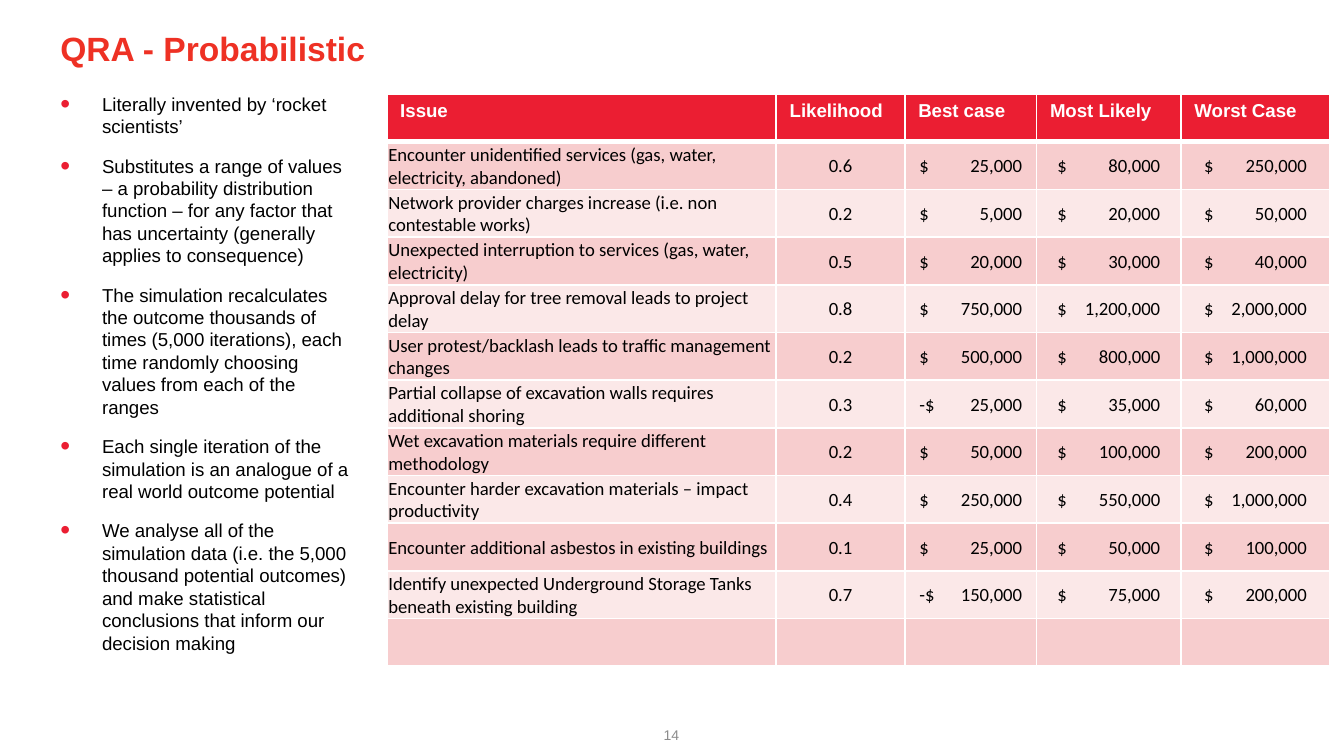
from dataclasses import dataclass

from lxml.etree import SubElement
from pptx import Presentation
from pptx.dml.color import RGBColor
from pptx.enum.text import MSO_ANCHOR, PP_ALIGN
from pptx.oxml.ns import qn
from pptx.util import Cm, Pt


@dataclass(frozen=True)
class Theme:
    heading: str = "EE3124"
    accent: str = "EB1E32"
    band_dark: str = "F7CDCE"
    band_light: str = "FBE8E8"
    ink: str = "000000"
    muted: str = "8C8C8C"
    paper: str = "FFFFFF"
    sans: str = "Arial"
    figures: str = "Calibri"
    title_size: float = 18
    body_size: float = 10
    number_size: float = 7.5


@dataclass(frozen=True)
class Risk:
    issue: str
    likelihood: float
    best: int
    likely: int
    worst: int


THEME = Theme()
HEADERS = ("Issue", "Likelihood", "Best case", "Most Likely", "Worst Case")
COLUMN_WIDTHS = (7.36, 2.43, 2.49, 2.73, 2.81)
ROW_HEIGHT = 0.9
MONEY_WIDTH = 1.94
CELL_INSET = 0.03

POINTS = (
    "Literally invented by ‘rocket scientists’",
    "Substitutes a range of values – a probability distribution function – for any factor that has uncertainty (generally applies to consequence)",
    "The simulation recalculates the outcome thousands of times (5,000 iterations), each time randomly choosing values from each of the ranges",
    "Each single iteration of the simulation is an analogue of a real world outcome potential",
    "We analyse all of the simulation data (i.e. the 5,000 thousand potential outcomes) and make statistical conclusions that inform our decision making",
)

RISKS = (
    Risk("Encounter unidentified services (gas, water, electricity, abandoned)", 0.6, 25000, 80000, 250000),
    Risk("Network provider charges increase (i.e. non contestable works)", 0.2, 5000, 20000, 50000),
    Risk("Unexpected interruption to services (gas, water, electricity)", 0.5, 20000, 30000, 40000),
    Risk("Approval delay for tree removal leads to project delay", 0.8, 750000, 1200000, 2000000),
    Risk("User protest/backlash leads to traffic management changes", 0.2, 500000, 800000, 1000000),
    Risk("Partial collapse of excavation walls requires additional shoring", 0.3, -25000, 35000, 60000),
    Risk("Wet excavation materials require different methodology", 0.2, 50000, 100000, 200000),
    Risk("Encounter harder excavation materials – impact productivity", 0.4, 250000, 550000, 1000000),
    Risk("Encounter additional asbestos in existing buildings", 0.1, 25000, 50000, 100000),
    Risk("Identify unexpected Underground Storage Tanks beneath existing building", 0.7, -150000, 75000, 200000),
)


def add_span(para, text: str, size: float, color: str, font: str = THEME.sans, bold: bool = False) -> None:
    span = para.add_run()
    span.text = text
    span.font.size = Pt(size)
    span.font.name = font
    span.font.bold = bold
    span.font.color.rgb = RGBColor.from_string(color)


def place(box, left: float, top: float, width: float, height: float) -> None:
    box.left, box.top, box.width, box.height = Cm(left), Cm(top), Cm(width), Cm(height)


def prepare_frame(frame, anchor) -> None:
    frame.margin_left = frame.margin_right = frame.margin_top = frame.margin_bottom = 0
    frame.word_wrap = True
    frame.vertical_anchor = anchor


def add_title(page, text: str) -> None:
    title = page.shapes.title
    place(title, 1.14, 0.53, 17.53, 1.22)
    prepare_frame(title.text_frame, MSO_ANCHOR.TOP)
    para = title.text_frame.paragraphs[0]
    para.alignment = PP_ALIGN.LEFT
    add_span(para, text, THEME.title_size, THEME.heading, bold=True)


def add_page_number(page, number: str) -> None:
    box = page.shapes.add_textbox(Cm(12.27), Cm(13.51), Cm(0.84), Cm(0.76))
    prepare_frame(box.text_frame, MSO_ANCHOR.MIDDLE)
    para = box.text_frame.paragraphs[0]
    para.alignment = PP_ALIGN.CENTER
    add_span(para, number, THEME.number_size, THEME.muted)


def add_bullet(para) -> None:
    properties = para._p.get_or_add_pPr()
    properties.set("marL", str(Cm(0.79)))
    properties.set("indent", str(-Cm(0.79)))
    color = SubElement(properties, qn("a:buClr"))
    SubElement(color, qn("a:srgbClr"), val=THEME.accent)
    SubElement(properties, qn("a:buSzPct"), val="150000")
    SubElement(properties, qn("a:buFont"), typeface=THEME.sans)
    SubElement(properties, qn("a:buChar"), char="•")


def add_points(page, points: tuple[str, ...]) -> None:
    box = page.shapes.add_textbox(Cm(1.14), Cm(1.75), Cm(5.54), Cm(11.76))
    frame = box.text_frame
    prepare_frame(frame, MSO_ANCHOR.TOP)
    for index, point in enumerate(points):
        para = frame.add_paragraph() if index else frame.paragraphs[0]
        para.space_before = Pt(6.8 if index else 0)
        para.space_after = Pt(2.2)
        add_bullet(para)
        add_span(para, point, THEME.body_size, THEME.ink)


def style_cell(cell, fill: str, bottom_line: float = 1) -> None:
    properties = cell._tc.get_or_add_tcPr()
    for side, weight in (("L", 1), ("R", 1), ("T", 1), ("B", bottom_line)):
        line = SubElement(properties, qn(f"a:ln{side}"), w=str(Pt(weight)))
        paint = SubElement(line, qn("a:solidFill"))
        SubElement(paint, qn("a:srgbClr"), val=THEME.paper)
    cell.fill.solid()
    cell.fill.fore_color.rgb = RGBColor.from_string(fill)


def style_body_cell(cell, fill: str) -> None:
    style_cell(cell, fill)
    cell.vertical_anchor = MSO_ANCHOR.MIDDLE
    cell.margin_left = cell.margin_right = cell.margin_top = Cm(CELL_INSET)
    cell.margin_bottom = 0


def write_money(cell, amount: int, column_width: float) -> None:
    cell.margin_left = Cm((column_width - MONEY_WIDTH) / 2)
    para = cell.text_frame.paragraphs[0]
    tabs = SubElement(para._p.get_or_add_pPr(), qn("a:tabLst"))
    SubElement(tabs, qn("a:tab"), pos=str(Cm(MONEY_WIDTH)), algn="r")
    sign = "-$" if amount < 0 else "$"
    add_span(para, f"{sign}\t{abs(amount):,}", THEME.body_size, THEME.ink, THEME.figures)


def write_risk(cells, risk: Risk) -> None:
    add_span(cells[0].text_frame.paragraphs[0], risk.issue, THEME.body_size, THEME.ink, THEME.figures)
    para = cells[1].text_frame.paragraphs[0]
    para.alignment = PP_ALIGN.CENTER
    add_span(para, str(risk.likelihood), THEME.body_size, THEME.ink, THEME.figures)
    for column, amount in enumerate((risk.best, risk.likely, risk.worst), start=2):
        write_money(cells[column], amount, COLUMN_WIDTHS[column])


def add_risk_table(page, risks: tuple[Risk, ...]) -> None:
    row_count = len(risks) + 2
    table = page.shapes.add_table(
        row_count, len(HEADERS), Cm(7.31), Cm(1.78), Cm(sum(COLUMN_WIDTHS)), Cm(ROW_HEIGHT * row_count)
    ).table
    for column, width in zip(table.columns, COLUMN_WIDTHS):
        column.width = Cm(width)
    for row in table.rows:
        row.height = Cm(ROW_HEIGHT)
    for column, header in enumerate(HEADERS):
        cell = table.cell(0, column)
        style_cell(cell, THEME.accent, bottom_line=3)
        add_span(cell.text_frame.paragraphs[0], header, THEME.body_size, THEME.paper, bold=True)
    for row in range(1, row_count):
        cells = [table.cell(row, column) for column in range(len(HEADERS))]
        for cell in cells:
            style_body_cell(cell, THEME.band_dark if row % 2 else THEME.band_light)
        if row <= len(risks):
            write_risk(cells, risks[row - 1])


def main() -> None:
    deck = Presentation()
    deck.slide_width, deck.slide_height = Cm(25.4), Cm(14.28)
    page = deck.slides.add_slide(deck.slide_layouts[5])
    add_title(page, "QRA - Probabilistic")
    add_page_number(page, "14")
    add_points(page, POINTS)
    add_risk_table(page, RISKS)
    deck.save("out.pptx")


if __name__ == "__main__":
    main()
